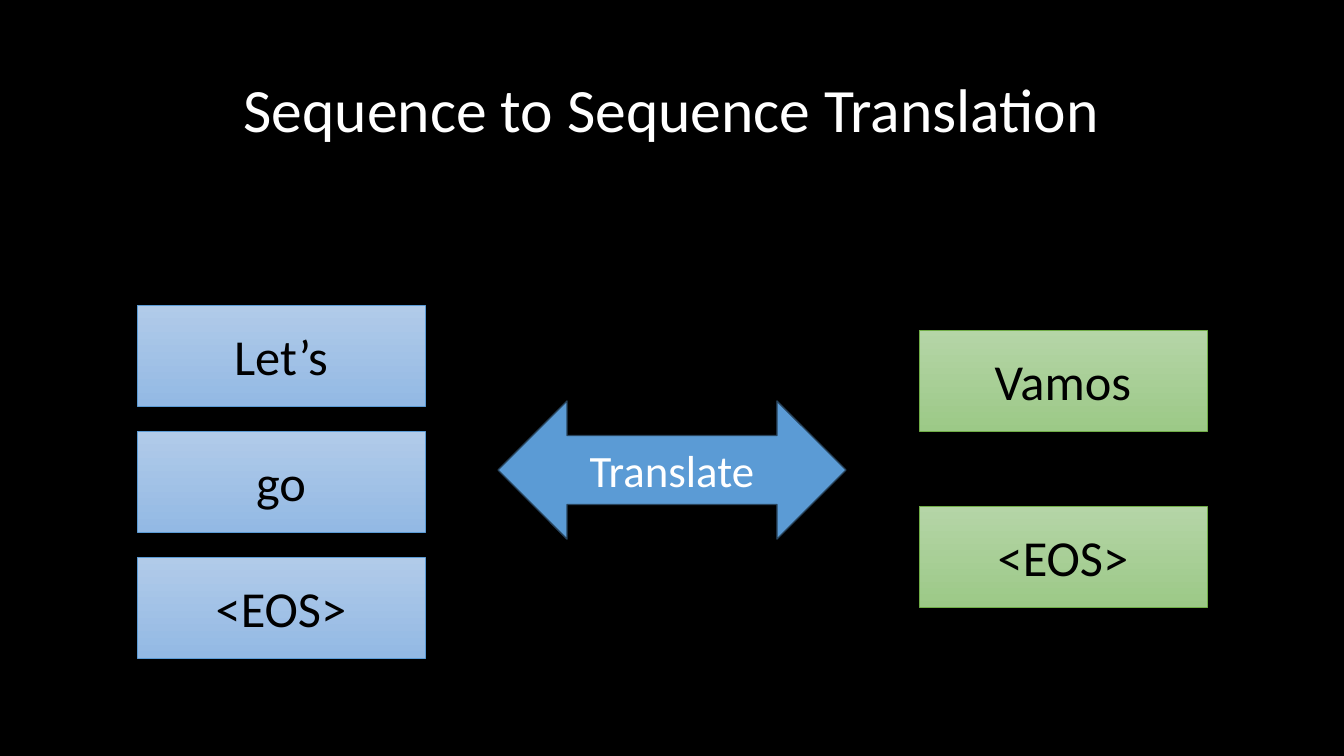
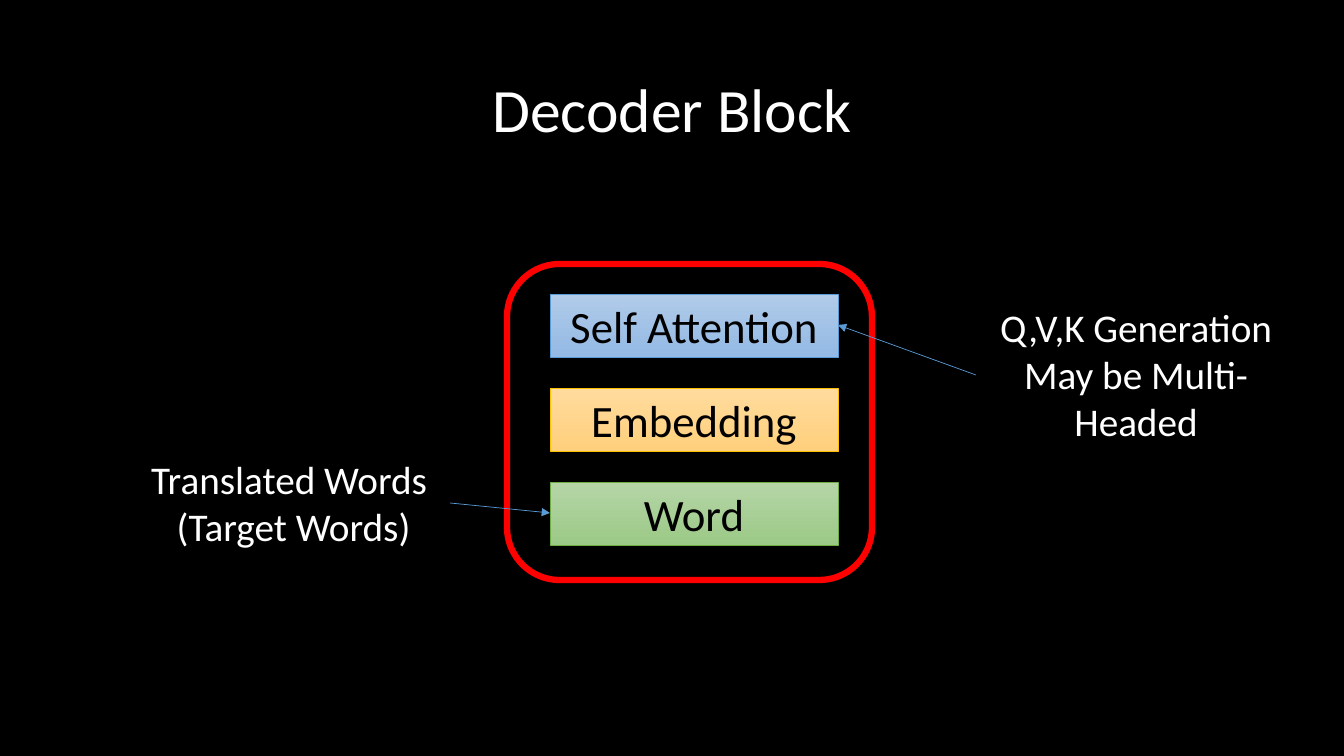
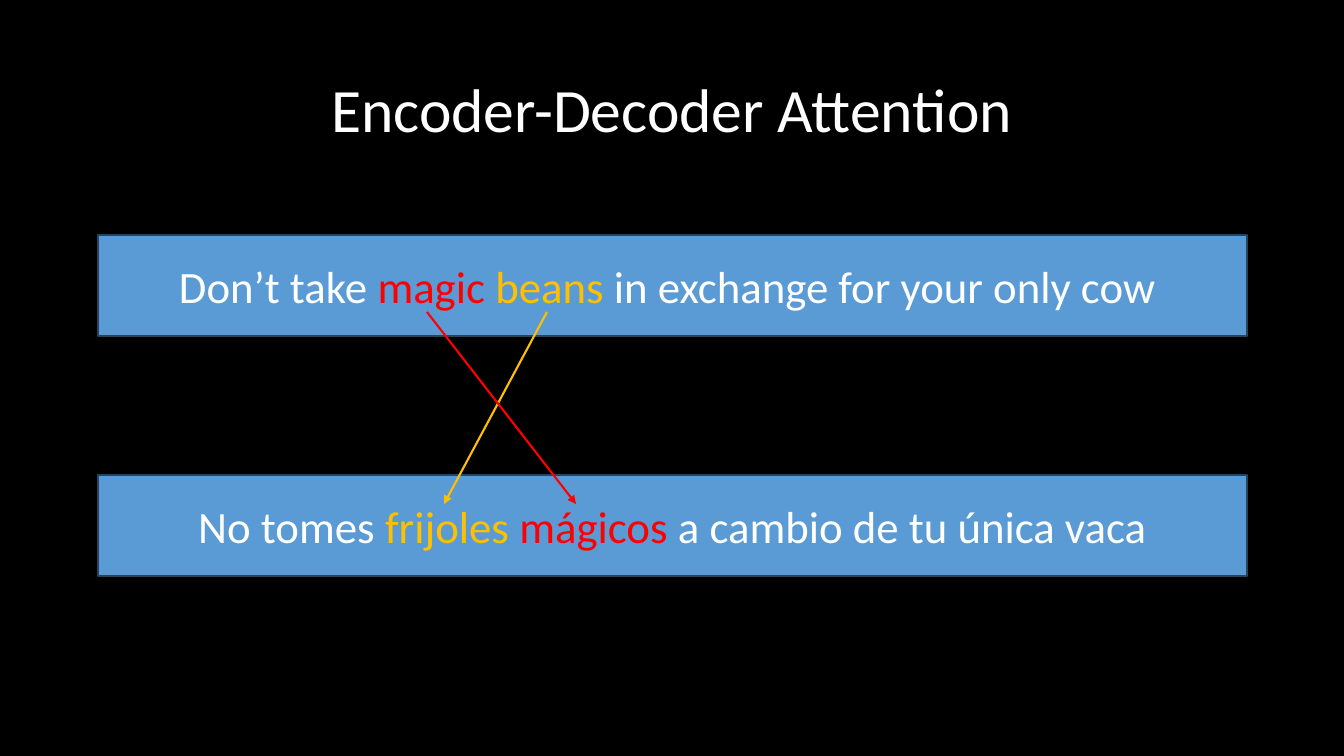
"""Build three slides on sequence to sequence translation."""
from lxml.etree import SubElement
from pptx import Presentation
from pptx.dml.color import RGBColor
from pptx.enum.shapes import MSO_CONNECTOR as Link, MSO_SHAPE as Shape
from pptx.enum.text import MSO_ANCHOR as Anchor, PP_ALIGN as Align
from pptx.oxml.ns import qn
from pptx.util import Pt

PX = 12192000 / 1344
FONT = "Calibri"
COLORS = {
    "black": "000000", "white": "FFFFFF", "red": "FF0000", "gold": "FFC000",
    "blue": "5B9BD5", "navy": "28445D", "green": "70AD47",
}
TINTS = {
    "blue": ("B1CBE9", "93B9E4"),
    "green": ("B5D5A7", "9CC987"),
    "gold": ("FFDB9E", "FFD07C"),
}


def px(*lengths):
    """Turn pixel lengths into EMU."""
    return [round(length * PX) for length in lengths]


def color(name):
    """Look up a named colour."""
    return RGBColor.from_string(COLORS[name])


def write(box, paragraphs, size, ink="white", anchor=Anchor.MIDDLE, spacing=None):
    """Write centred paragraphs, each a string or a list of (text, ink) spans."""
    frame = box.text_frame
    frame.word_wrap = True
    frame.vertical_anchor = anchor
    for index, spans in enumerate(paragraphs):
        para = frame.add_paragraph() if index else frame.paragraphs[0]
        para.alignment = Align.CENTER
        para.line_spacing = spacing
        for text, span_ink in [(spans, ink)] if isinstance(spans, str) else spans:
            span = para.add_run()
            span.text = text
            span.font.name = FONT
            span.font.size = Pt(size)
            span.font.color.rgb = color(span_ink)


def label(page, area, paragraphs, size, **style):
    """Add a text box."""
    write(page.shapes.add_textbox(*px(*area)), paragraphs, size, **style)


def outlined(page, kind, area, line, width):
    """Add a preset shape with a plain outline and no shadow."""
    shape = page.shapes.add_shape(kind, *px(*area))
    shape.shadow.inherit = False
    shape.line.color.rgb = color(line)
    shape.line.width = Pt(width)
    return shape


def solid(page, kind, area, spans):
    """Add a solid blue shape with its text."""
    shape = outlined(page, kind, area, "navy", 1)
    shape.fill.solid()
    shape.fill.fore_color.rgb = color("blue")
    write(shape, [spans], 32)


def stack(page, area, gap, rows, size):
    """Stack gradient boxes of (text, tint) downwards from the first box's area."""
    left, top, width, height = area
    for index, (text, tint) in enumerate(rows):
        place = left, top + index * (height + gap), width, height
        box = outlined(page, Shape.RECTANGLE, place, tint, 0.5)
        box.fill.gradient()
        box.fill.gradient_angle = 270
        for stop, shade in zip(box.fill.gradient_stops, TINTS[tint]):
            stop.color.rgb = RGBColor.from_string(shade)
        write(box, [text], size, ink="black")


def arrow(page, start, end, ink, width):
    """Draw a straight arrow from start to end."""
    line = page.shapes.add_connector(Link.STRAIGHT, *px(*start, *end))
    line.line.color.rgb = color(ink)
    line.line.width = Pt(width)
    props = line._element.spPr
    SubElement(props.find(qn("a:ln")), qn("a:tailEnd"), type="triangle")
    SubElement(props, qn("a:effectLst"))


def add_page(deck, title):
    """Add a black slide with its title."""
    page = deck.slides.add_slide(deck.slide_layouts[6])
    page.background.fill.solid()
    page.background.fill.fore_color.rgb = color("black")
    label(page, (92, 40, 1160, 146), [title], 44, spacing=0.9)
    return page


def translation(page, left, top):
    """Place the source words, the translate arrow and the target words."""
    source = [(word, "blue") for word in ("Let’s", "go", "<EOS>")]
    target = [(word, "green") for word in ("Vamos", "<EOS>")]
    stack(page, (left, top, 288, 101), 25, source, 36)
    solid(page, Shape.LEFT_RIGHT_ARROW, (left + 361, top + 96, 348, 138), "Translate")
    stack(page, (left + 782, top + 25, 288, 101), 75, target, 36)


def decoder(page, left, top):
    """Place the framed decoder layers and the notes beside them."""
    layers = [("Self Attention", "blue"), ("Embedding", "gold"), ("Word", "green")]
    stack(page, (left + 43, top + 30, 288, 63), 31, layers, 32)
    frame = outlined(page, Shape.ROUNDED_RECTANGLE, (left, top, 365, 316), "red", 4.5)
    frame.fill.background()
    notes = [
        ((-369, 186, 311, 105), ["Translated Words ", "(Target Words)"],
         (-57, 239), (43, 249)),
        ((469, 34, 320, 152), ["Q,V,K Generation", "May be Multi-Headed"],
         (469, 111), (331, 61)),
    ]
    for (x, y, width, height), lines, start, end in notes:
        label(page, (left + x, top + y, width, height), lines, 28, anchor=Anchor.TOP)
        ends = [(left + across, top + down) for across, down in (start, end)]
        arrow(page, *ends, "blue", 0.5)


def attention(page, left, top):
    """Place the two sentences and the arrows that pair their words."""
    english = [("Don’t take ", "white"), ("magic ", "red"), ("beans", "gold"),
               (" in exchange for your only cow ", "white")]
    spanish = [("No tomes ", "white"), ("frijoles ", "gold"), ("mágicos", "red"),
               (" a cambio de tu única vaca", "white")]
    for index, sentence in enumerate((english, spanish)):
        solid(page, Shape.RECTANGLE, (left, top + index * 240, 1149, 101), sentence)
    for ink, start, end in (("gold", 449, 346), ("red", 329, 478)):
        arrow(page, (left + start, top + 77), (left + end, top + 269), ink, 1.5)


def main():
    """Build and save the deck."""
    deck = Presentation()
    deck.slide_width, deck.slide_height = px(1344, 756)
    translation(add_page(deck, "Sequence to Sequence Translation"), 137, 305)
    decoder(add_page(deck, "Decoder Block"), 507, 264)
    attention(add_page(deck, "Encoder-Decoder Attention"), 98, 235)
    deck.save("out.pptx")


if __name__ == "__main__":
    main()
